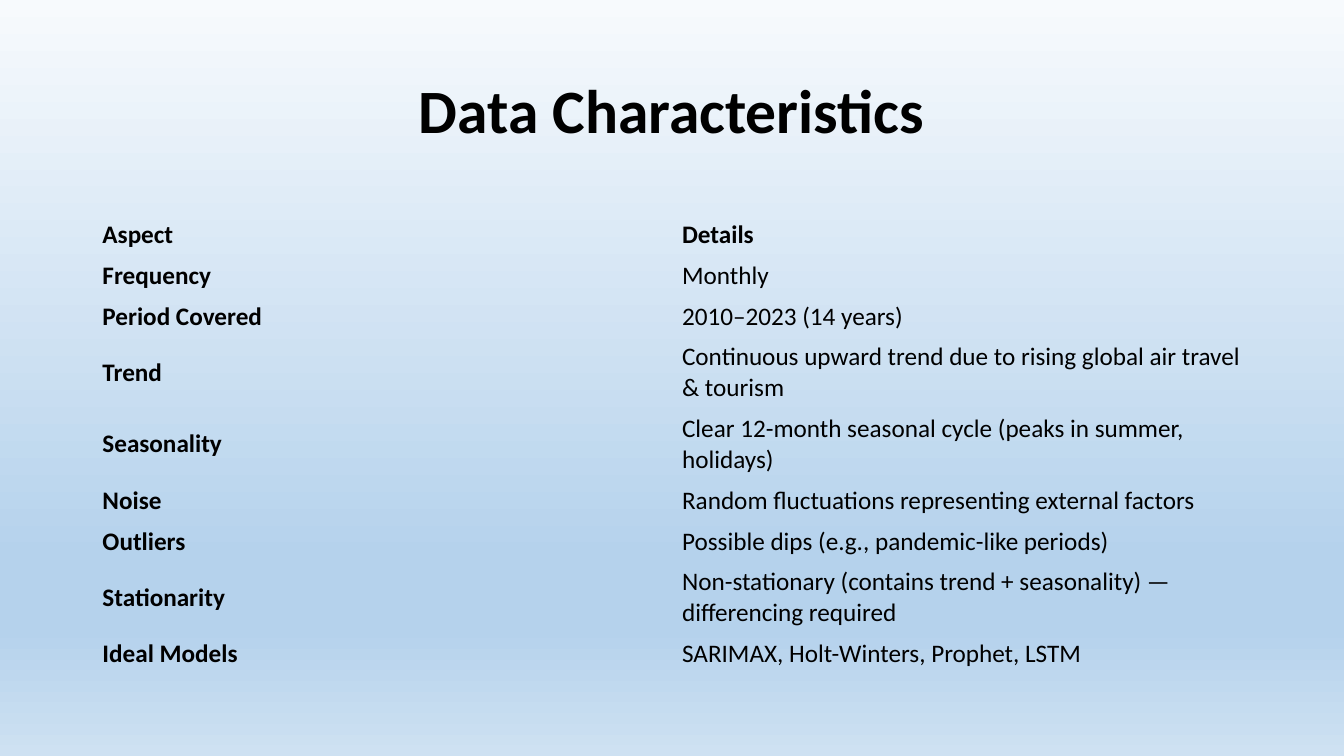
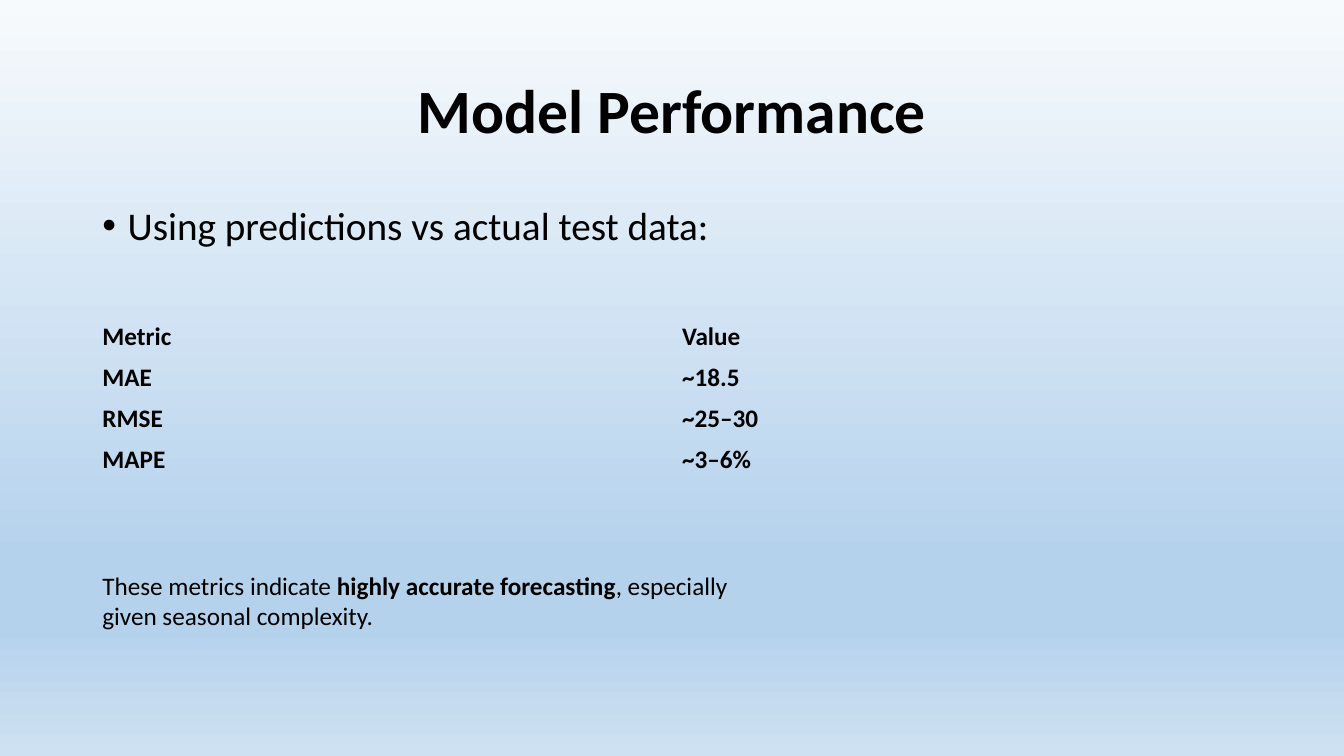
import copy

import pptx
import pptx.dml.color
import pptx.enum.text
import pptx.oxml.ns
import pptx.util

Pt = pptx.util.Pt
ANCHOR = pptx.enum.text.MSO_ANCHOR
ALIGN = pptx.enum.text.PP_ALIGN
FIT = pptx.enum.text.MSO_AUTO_SIZE
qn = pptx.oxml.ns.qn

FONT = "Calibri"
INK = "000000"
BACKDROP = [(0, "F7FAFD"), (0.74, "B5D2EC"), (0.83, "B5D2EC"), (1, "CEE1F2")]
PLAIN_TABLE = "{2D5ABB26-0587-4C30-8999-92F81FD0307C}"
LEFT, WIDTH = 66, 828
ROW_HEIGHT = 29
TITLE_BOX = (LEFT, 28.8, WIDTH, 104.4)
TITLE_LAYOUT, BODY_LAYOUT = 5, 1

CHARACTERISTICS = [
    ("Aspect", "Details"),
    ("Frequency", "Monthly"),
    ("Period Covered", "2010–2023 (14 years)"),
    ("Trend", "Continuous upward trend due to rising global air travel & tourism"),
    ("Seasonality", "Clear 12-month seasonal cycle (peaks in summer, holidays)"),
    ("Noise", "Random fluctuations representing external factors"),
    ("Outliers", "Possible dips (e.g., pandemic-like periods)"),
    ("Stationarity", "Non-stationary (contains trend + seasonality) — differencing required"),
    ("Ideal Models", "SARIMAX, Holt-Winters, Prophet, LSTM"),
]
METRICS = [
    ("Metric", "Value"),
    ("MAE", "~18.5"),
    ("RMSE", "~25–30"),
    ("MAPE", "~3–6%"),
]
CONCLUSION = [
    ("These metrics indicate ", False),
    ("highly accurate forecasting", True),
    (", especially given seasonal complexity.", False),
]


def color(value):
    """Turn a hex string into a colour."""
    return pptx.dml.color.RGBColor.from_string(value)


def apply(target, **values):
    """Set each given attribute on the target."""
    for name, value in values.items():
        setattr(target, name, value)


def add_span(para, text, size, bold=False):
    """Append a run of text in the deck's font."""
    span = para.add_run()
    span.text = text
    apply(span.font, name=FONT, size=Pt(size), bold=bold)
    span.font.color.rgb = color(INK)


def place(shape, box):
    """Move a shape to a box of left, top, width and height in points."""
    apply(shape, **dict(zip(("left", "top", "width", "height"), map(Pt, box))))


def paint_backdrop(master):
    """Give the slide master its vertical gradient."""
    fill = master.background.fill
    fill.gradient()
    fill.gradient_angle = 270
    stop_list = master.element.find(".//" + qn("p:bg")).find(".//" + qn("a:gsLst"))
    while len(stop_list) < len(BACKDROP):
        stop_list.append(copy.deepcopy(stop_list[0]))
    for stop, (position, value) in zip(fill.gradient_stops, BACKDROP):
        stop.position = position
        stop.color.rgb = color(value)


def add_page(deck, layout, title):
    """Add a slide with the shared title style."""
    page = deck.slides.add_slide(deck.slide_layouts[layout])
    place(page.shapes.title, TITLE_BOX)
    frame = page.shapes.title.text_frame
    apply(frame, vertical_anchor=ANCHOR.MIDDLE, word_wrap=True, auto_size=FIT.NONE)
    para = frame.paragraphs[0]
    apply(para, alignment=ALIGN.CENTER, line_spacing=0.9)
    add_span(para, title, 44, True)
    return page


def fill_bullet(body, box, text):
    """Place the body placeholder and write its bullet."""
    place(body, box)
    frame = body.text_frame
    apply(frame, vertical_anchor=ANCHOR.TOP, word_wrap=True, auto_size=FIT.NONE)
    para = frame.paragraphs[0]
    properties = para._p.get_or_add_pPr()
    properties.set("marL", str(Pt(18)))
    properties.set("indent", str(-Pt(18)))
    apply(para, line_spacing=0.9, space_before=Pt(0))
    add_span(para, text, 28)


def add_grid(page, box, rows, bold_values=False):
    """Add an unfilled table of two equal columns with bold labels."""
    left, top, width = box
    shape = page.shapes.add_table(
        len(rows), 2, Pt(left), Pt(top), Pt(width), Pt(ROW_HEIGHT * len(rows)))
    table = shape.table
    apply(table, first_row=False, horz_banding=False)
    shape.element.find(".//" + qn("a:tableStyleId")).text = PLAIN_TABLE
    for r, row in enumerate(rows):
        for c, text in enumerate(row):
            cell = table.cell(r, c)
            cell.fill.background()
            cell.vertical_anchor = ANCHOR.MIDDLE
            bold = bold_values or r == 0 or c == 0
            add_span(cell.text_frame.paragraphs[0], text, 18, bold)


def add_conclusion(page, box, spans):
    """Add the closing remark in a text box."""
    frame = page.shapes.add_textbox(*map(Pt, box)).text_frame
    apply(frame, word_wrap=True, auto_size=FIT.SHAPE_TO_FIT_TEXT)
    for text, bold in spans:
        add_span(frame.paragraphs[0], text, 18, bold)


def build_characteristics(deck):
    """Build the slide describing the data."""
    page = add_page(deck, TITLE_LAYOUT, "Data Characteristics")
    add_grid(page, (LEFT, 153, WIDTH), CHARACTERISTICS)


def build_performance(deck):
    """Build the slide with the error metrics."""
    page = add_page(deck, BODY_LAYOUT, "Model Performance")
    fill_bullet(page.placeholders[1], (LEFT, 144, WIDTH, 342.7),
                "Using predictions vs actual test data:")
    add_grid(page, (LEFT, 226, WIDTH), METRICS, bold_values=True)
    add_conclusion(page, (LEFT, 404, 480, 51), CONCLUSION)


def main():
    """Build and save the deck."""
    deck = pptx.Presentation()
    apply(deck, slide_width=Pt(960), slide_height=Pt(540))
    paint_backdrop(deck.slide_master)
    build_characteristics(deck)
    build_performance(deck)
    deck.save("out.pptx")


if __name__ == "__main__":
    main()
